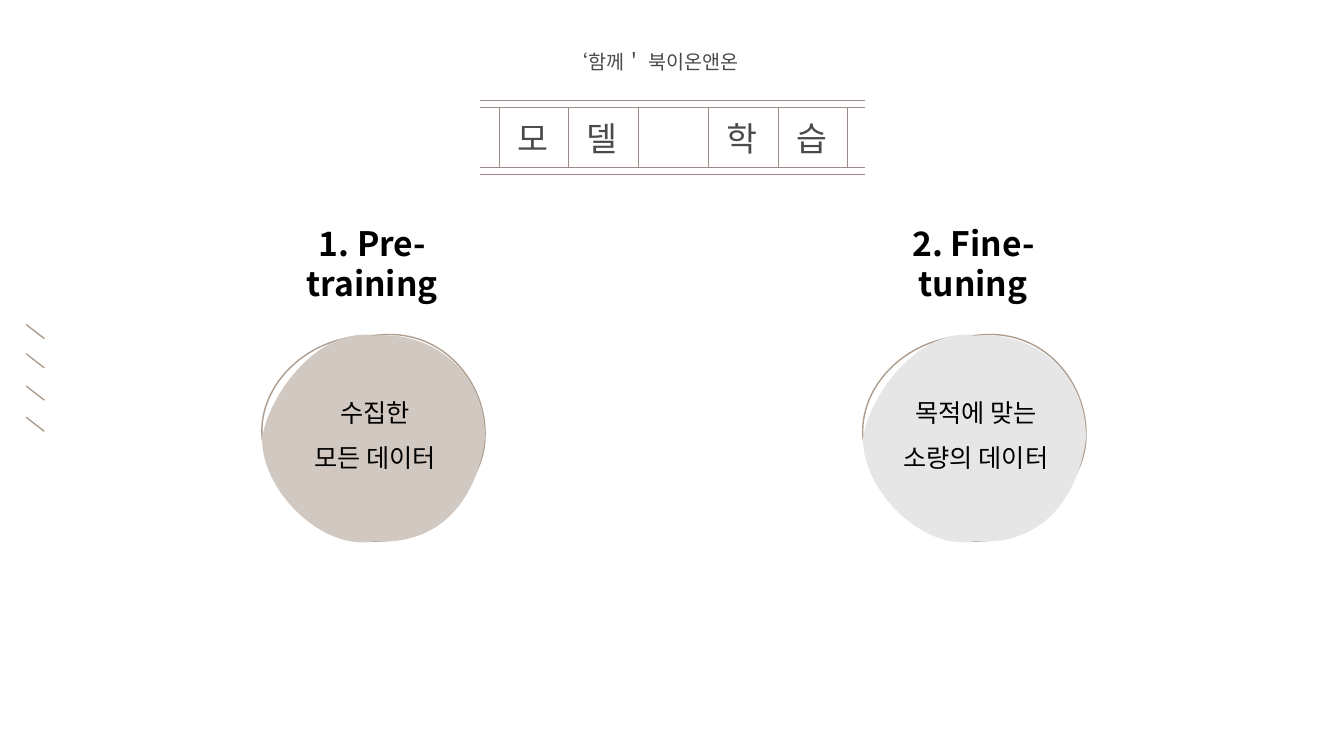
"""Builds the model training slide with its two training stages."""
from lxml import etree
from pptx import Presentation
from pptx.dml.color import RGBColor
from pptx.enum.shapes import MSO_CONNECTOR
from pptx.enum.text import MSO_AUTO_SIZE, PP_ALIGN
from pptx.oxml.ns import qn
from pptx.util import Inches, Pt

STRAIGHT = MSO_CONNECTOR.STRAIGHT
GROW = MSO_AUTO_SIZE.SHAPE_TO_FIT_TEXT
LEFT, CENTER, JUSTIFY = PP_ALIGN.LEFT, PP_ALIGN.CENTER, PP_ALIGN.JUSTIFY

BLACK = RGBColor(0x00, 0x00, 0x00)
TAN = RGBColor(0xAC, 0x9D, 0x8E)
FRAME = RGBColor(0x9A, 0x8B, 0x85)
BEIGE = RGBColor(0xD1, 0xC9, 0xC1)
GRAY = RGBColor(0xE7, 0xE6, 0xE6)

PEBBLE_W, PEBBLE_H = 221, 204
PEBBLE_START = (0, 102)
OUTLINE_CURVES = [
    [(-5, 49), (46, -2), (111, 0)],
    [(179, -10), (224, 48), (221, 102)],
    [(220, 148), (168, 205), (111, 204)],
    [(47, 202), (14, 161), PEBBLE_START],
]
FILL_CURVES = [
    [(6, 59), (56, -9), (111, 0)],
    [(167, -5), (222, 35), (221, 102)],
    [(215, 152), (184, 209), (111, 204)],
    [(59, 214), (-1, 153), PEBBLE_START],
]


class TrainingSlide:
    """Holds the style and the current slide."""

    font = "Noto Sans CJK KR"
    soft_alpha = "71000"

    def __init__(self, prs):
        self.slide = prs.slides.add_slide(prs.slide_layouts[6])
        self.target = self.slide.shapes

    def start_group(self):
        """Send the next elements into a new group."""
        self.target = self.slide.shapes.add_group_shape().shapes

    def end_group(self):
        """Send the next elements to the slide itself."""
        self.target = self.slide.shapes

    def line(self, x1, y1, x2, y2, color, width):
        """Draw a straight line without shadow."""
        rule = self.target.add_connector(
            STRAIGHT, Inches(x1), Inches(y1), Inches(x2), Inches(y2))
        rule.line.color.rgb = color
        rule.line.width = Pt(width)
        etree.SubElement(rule._element.spPr, qn("a:effectLst"))

    def text(self, x, y, w, h, lines, size, align=CENTER, bold=None,
             spacing=None, soft=False):
        """Write one paragraph per line of text."""
        box = self.target.add_textbox(
            Inches(x), Inches(y), Inches(w), Inches(h))
        frame = box.text_frame
        for name, value in {"word_wrap": True, "auto_size": GROW}.items():
            setattr(frame, name, value)
        font_format = {"name": self.font, "size": Pt(size), "bold": bold}
        for index, words in enumerate(lines):
            paragraph = frame.add_paragraph() if index else frame.paragraphs[0]
            paragraph.alignment = align
            paragraph.line_spacing = spacing
            run = paragraph.add_run()
            run.text = words
            for name, value in font_format.items():
                setattr(run.font, name, value)
            run.font.color.rgb = BLACK
            props = run.font._element
            etree.SubElement(props, qn("a:ea"), typeface=self.font)
            if soft:
                color = props.find(".//" + qn("a:srgbClr"))
                etree.SubElement(color, qn("a:alpha"), val=self.soft_alpha)

    def pebble(self, x, y, fill):
        """Draw a filled pebble over a slightly different curved outline."""
        builder = self.target.build_freeform(0, 0, scale=Inches(0.01))
        builder.add_line_segments(
            [(PEBBLE_W, 0), (PEBBLE_W, PEBBLE_H), (0, PEBBLE_H)], close=True)
        pebble = builder.convert_to_shape(Inches(x), Inches(y))
        pebble.shadow.inherit = False
        pebble.fill.solid()
        pebble.fill.fore_color.rgb = fill
        pebble.line.color.rgb = TAN
        pebble.line.width = Pt(1)
        outlines = pebble._element.spPr.find(".//" + qn("a:pathLst"))
        outlines.remove(outlines[0])
        for curves, mode in ((OUTLINE_CURVES, {"fill": "none"}),
                             (FILL_CURVES, {"stroke": "0"})):
            outline = etree.SubElement(
                outlines, qn("a:path"), w=str(PEBBLE_W), h=str(PEBBLE_H), **mode)
            steps = [("a:moveTo", [PEBBLE_START])]
            steps += [("a:cubicBezTo", points) for points in curves]
            for tag, points in steps:
                step = etree.SubElement(outline, qn(tag))
                for px, py in points:
                    etree.SubElement(step, qn("a:pt"), x=str(px), y=str(py))
            etree.SubElement(outline, qn("a:close"))

    def stage(self, x, heading, data_lines, fill):
        """Draw one training stage: pebble, heading and data note."""
        self.pebble(x, 3.33, fill)
        self.text(x - 0.13, 2.16, 2.44, 0.5, [heading], 24, bold=True)
        self.text(x - 0.1, 3.74, 2.44, 0.97, data_lines, 18, spacing=1.5)


def main():
    """Build and save the slide."""
    prs = Presentation()
    prs.slide_width, prs.slide_height = Inches(13.33), Inches(7.5)
    page = TrainingSlide(prs)

    page.start_group()
    for dash_y in (4.14, 3.83, 3.51, 3.22):
        page.line(0.26, dash_y, 0.44, dash_y + 0.14, TAN, 1)
    page.end_group()

    page.stage(2.6, "1. Pre-training", ["수집한", "모든 데이터"], BEIGE)

    page.start_group()
    cell_left, cell_right, cells = 4.95, 8.41, 5
    cell_width = (cell_right - cell_left) / cells
    for rail_y in (1, 1.07, 1.66, 1.73):
        page.line(4.76, rail_y, 8.58, rail_y, FRAME, 0.75)
    for column in range(cells + 1):
        divider_x = cell_left + column * cell_width
        page.line(divider_x, 1.07, divider_x, 1.66, FRAME, 0.75)
    for column, syllable in enumerate("모델 학습"):
        if syllable.strip():
            page.text(cell_left + 0.08 + column * cell_width, 1.12, 0.54, 0.5,
                      [syllable], 24, align=LEFT, soft=True)
    page.end_group()

    page.text(5.54, 0.45, 2.26, 0.34, ["‘함께＇ 북이온앤온"], 14,
              align=JUSTIFY, soft=True)
    page.stage(8.56, "2. Fine-tuning", ["목적에 맞는", "소량의 데이터"], GRAY)

    prs.save("out.pptx")


if __name__ == "__main__":
    main()
